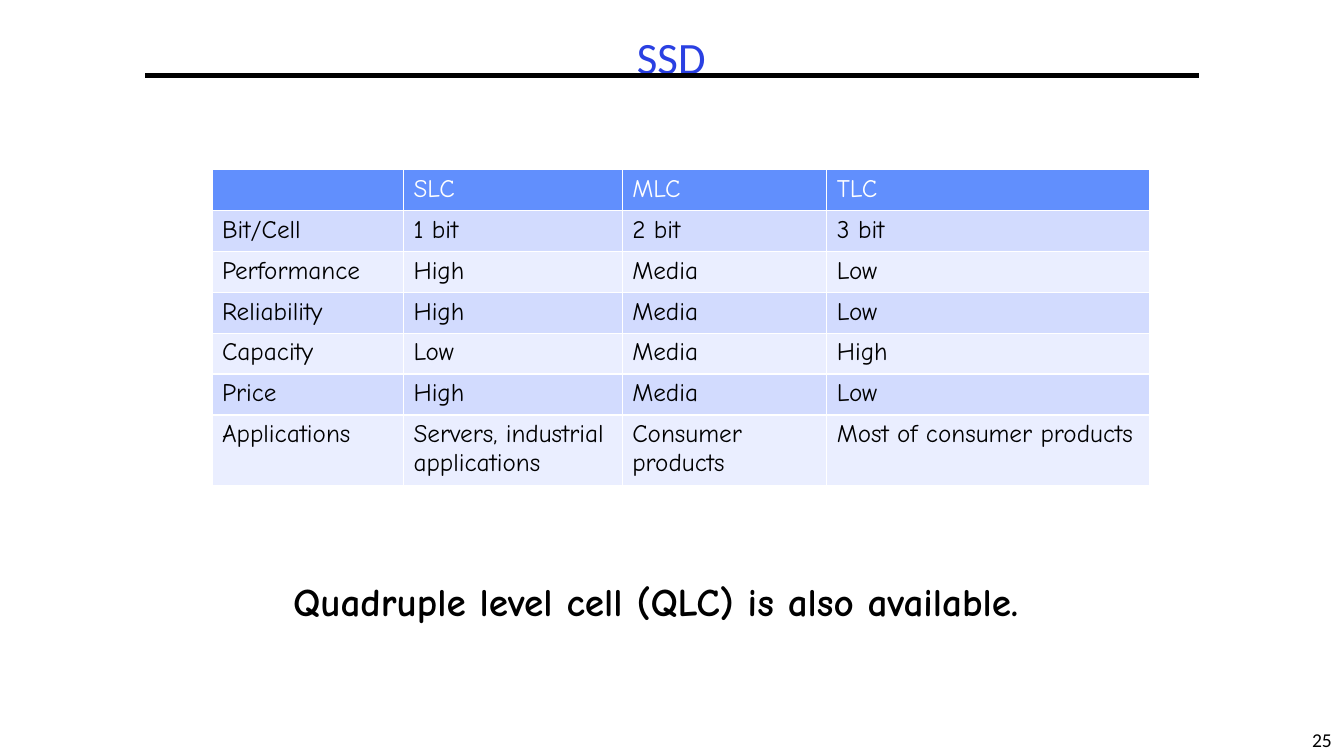
"""Build a slide that compares SSD cell types in a table."""
from dataclasses import dataclass

from lxml.etree import SubElement
from pptx import Presentation
from pptx.dml.color import RGBColor as RGB
from pptx.enum.shapes import MSO_CONNECTOR as Connector
from pptx.enum.text import MSO_ANCHOR as Anchor, PP_ALIGN as Align
from pptx.oxml.ns import qn
from pptx.util import Pt


@dataclass(frozen=True)
class Theme:
    ink: str = "000000"
    paper: str = "FFFFFF"
    title: str = "2A40E2"
    header: str = "618FFD"
    bands: tuple = ("D2DBFE", "EAEEFF")
    plain_font: str = "Calibri"
    comic_font: str = "Comic Neue"
    title_size: int = 32
    note_size: int = 28
    table_size: int = 18
    number_size: int = 14


THEME = Theme()
COLUMN_WIDTHS = (136.8, 156.24, 146.16, 230.4)
ROW_HEIGHT = 29.2
CELL_TYPES = (
    ("", "SLC", "MLC", "TLC"),
    ("Bit/Cell", "1 bit", "2 bit", "3 bit"),
    ("Performance", "High", "Media", "Low"),
    ("Reliability", "High", "Media", "Low"),
    ("Capacity", "Low", "Media", "High"),
    ("Price", "High", "Media", "Low"),
    ("Applications", "Servers, industrial applications",
     "Consumer products", "Most of consumer products"),
)


def write(frame, text, *, size, font=THEME.comic_font, color=THEME.ink,
          bold=False, align=Align.LEFT, spacing=1.0):
    """Put one formatted paragraph into a text frame."""
    paragraph = frame.paragraphs[0]
    paragraph.alignment = align
    paragraph.line_spacing = spacing
    run = paragraph.add_run()
    run.text = text
    run.font.size = Pt(size)
    run.font.name = font
    run.font.bold = bold
    run.font.color.rgb = RGB.from_string(color)


def add_title(slide, text):
    """Place and fill the title placeholder."""
    title = slide.shapes.title
    title.left, title.top, title.width, title.height = map(Pt, (33.1, 21.6, 892.8, 41.8))
    title.text_frame.vertical_anchor = Anchor.MIDDLE
    write(title.text_frame, text, size=THEME.title_size, font=THEME.plain_font,
          color=THEME.title, align=Align.CENTER, spacing=0.9)


def add_rule(slide, left, right, y):
    """Draw the heavy horizontal rule under the title."""
    rule = slide.shapes.add_connector(Connector.STRAIGHT, Pt(left), Pt(y), Pt(right), Pt(y))
    rule.line.color.rgb = RGB.from_string(THEME.ink)
    rule.line.width = Pt(3)
    SubElement(rule._element.spPr, qn("a:effectLst"))


def add_label(slide, text, left, top, width, height, *, wrap=True, **text_format):
    """Add a text box with one formatted line."""
    label = slide.shapes.add_textbox(Pt(left), Pt(top), Pt(width), Pt(height))
    label.text_frame.word_wrap = wrap
    write(label.text_frame, text, **text_format)


def style_cell(cell, fill):
    """Fill a table cell and give it thin borders on all sides."""
    properties = cell._tc.get_or_add_tcPr()
    for side in ("a:lnL", "a:lnR", "a:lnT", "a:lnB"):
        border = SubElement(properties, qn(side), w=str(Pt(1)))
        paint = SubElement(border, qn("a:solidFill"))
        SubElement(paint, qn("a:srgbClr"), val=THEME.paper)
    cell.fill.solid()
    cell.fill.fore_color.rgb = RGB.from_string(fill)


def add_comparison(slide, rows, left, top):
    """Add the banded table with its coloured header row."""
    table = slide.shapes.add_table(
        len(rows), len(COLUMN_WIDTHS), Pt(left), Pt(top),
        Pt(sum(COLUMN_WIDTHS)), Pt(ROW_HEIGHT * len(rows))).table
    for column, width in zip(table.columns, COLUMN_WIDTHS):
        column.width = Pt(width)
    for row_index, row in enumerate(rows):
        table.rows[row_index].height = Pt(ROW_HEIGHT)
        is_header = row_index == 0
        fill = THEME.header if is_header else THEME.bands[(row_index - 1) % 2]
        color = THEME.paper if is_header else THEME.ink
        for column_index, text in enumerate(row):
            cell = table.cell(row_index, column_index)
            style_cell(cell, fill)
            write(cell.text_frame, text, size=THEME.table_size, color=color)


def main():
    """Compose the slide and save it."""
    deck = Presentation()
    deck.slide_width, deck.slide_height = Pt(960), Pt(540)
    slide = deck.slides.add_slide(deck.slide_layouts[5])
    add_label(slide, "25", 928.8, 516.2, 31, 23.8, wrap=False, size=THEME.number_size,
              font=THEME.plain_font, align=Align.CENTER)
    add_rule(slide, 103.9, 856.1, 54)
    add_title(slide, "SSD")
    add_comparison(slide, CELL_TYPES, 151.4, 121.2)
    add_label(slide, "Quadruple level cell (QLC) is also available.",
              202.3, 409, 626.4, 41, size=THEME.note_size, bold=True)
    deck.save("out.pptx")


if __name__ == "__main__":
    main()
